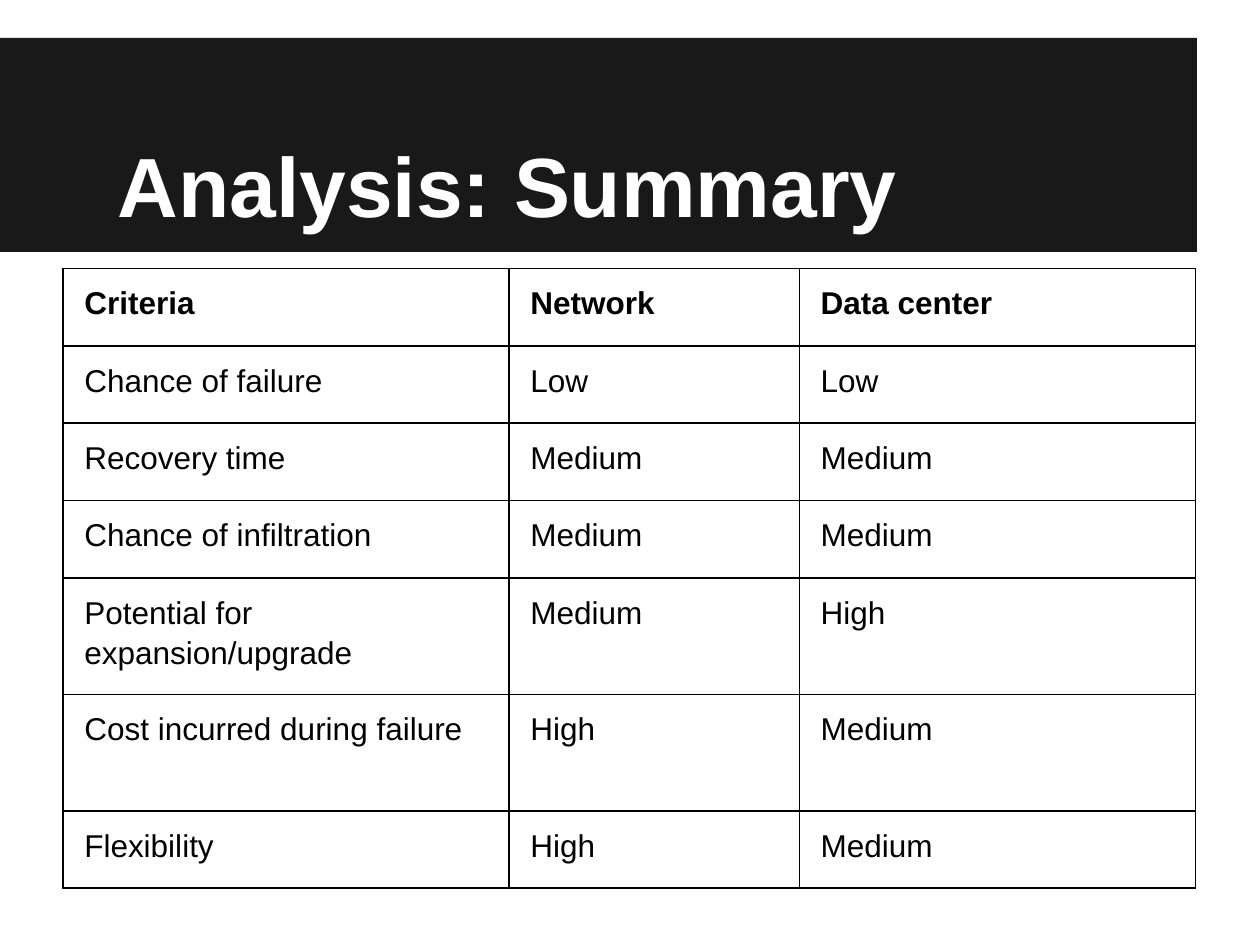
from lxml import etree
from pptx import Presentation
from pptx.dml.color import RGBColor
from pptx.enum import shapes, text
from pptx.oxml.ns import qn
from pptx.util import Pt

TITLE = "Analysis: Summary"
ROWS = [
    ("Criteria", "Network", "Data center"),
    ("Chance of failure", "Low", "Low"),
    ("Recovery time", "Medium", "Medium"),
    ("Chance of infiltration", "Medium", "Medium"),
    ("Potential for expansion/upgrade", "Medium", "High"),
    ("Cost incurred during failure", "High", "Medium"),
    ("Flexibility", "High", "Medium"),
]
COL_WIDTHS = (254.9, 165.9, 226.5)
ROW_HEIGHT, TALL_HEIGHT = 44.2, 66.6
TALL_ROWS = (4, 5)

FONT = "Arial"
BAND = RGBColor(0x19, 0x19, 0x19)
WHITE = RGBColor(0xFF, 0xFF, 0xFF)
BLACK = RGBColor(0, 0, 0)


def add_run(p, words, size, color, bold):
    r = p.add_run()
    r.text = words
    r.font.name, r.font.size, r.font.bold = FONT, Pt(size), bold
    r.font.color.rgb = color


def set_indent(p, left, first):
    pPr = p._p.get_or_add_pPr()
    pPr.set("marL", str(Pt(left)))
    pPr.set("indent", str(Pt(first)))


def add_borders(cell):
    tcPr = cell._tc.get_or_add_tcPr()
    for side in ("lnL", "lnR", "lnT", "lnB"):
        ln = etree.SubElement(tcPr, qn("a:" + side), w=str(Pt(1)))
        fill = etree.SubElement(ln, qn("a:solidFill"))
        etree.SubElement(fill, qn("a:srgbClr"), val=str(BLACK))


def add_title(s):
    sp = s.shapes.title
    sp.left, sp.top, sp.width, sp.height = Pt(36), Pt(21.6), Pt(648), Pt(119.5)
    tf = sp.text_frame
    tf.auto_size = text.MSO_AUTO_SIZE.NONE
    tf.word_wrap = True
    tf.vertical_anchor = text.MSO_ANCHOR.BOTTOM
    tf.margin_left = tf.margin_right = tf.margin_top = tf.margin_bottom = Pt(7.2)
    p = tf.paragraphs[0]
    p.alignment = text.PP_ALIGN.LEFT
    set_indent(p, 0, 24)
    add_run(p, TITLE, 48, WHITE, True)

    band = s.shapes.add_shape(shapes.MSO_SHAPE.RECTANGLE,
                              0, Pt(21.6), Pt(684), Pt(122.4))
    band.shadow.inherit = False
    band.fill.solid()
    band.fill.fore_color.rgb = BAND
    band.line.fill.background()
    sp.element.addprevious(band.element)  # band goes behind the title


def add_summary_table(s):
    heights = [TALL_HEIGHT if i in TALL_ROWS else ROW_HEIGHT
               for i in range(len(ROWS))]
    table = s.shapes.add_table(len(ROWS), len(COL_WIDTHS), Pt(36), Pt(153.4),
                               Pt(sum(COL_WIDTHS)), Pt(sum(heights))).table
    table.first_row = table.horz_banding = False
    for col, width in zip(table.columns, COL_WIDTHS):
        col.width = Pt(width)
    for i, row in enumerate(table.rows):
        row.height = Pt(heights[i])
        for cell, words in zip(row.cells, ROWS[i]):
            add_borders(cell)
            cell.fill.background()
            cell.margin_left = cell.margin_right = Pt(5)
            cell.margin_top = cell.margin_bottom = Pt(7.2)
            p = cell.text_frame.paragraphs[0]
            set_indent(p, 7.2, 0)
            p.line_spacing = 1.15
            add_run(p, words, 18, BLACK, i == 0)


def main():
    prs = Presentation()
    prs.slide_width, prs.slide_height = Pt(720), Pt(540)
    s = prs.slides.add_slide(prs.slide_layouts.get_by_name("Title Only"))
    add_title(s)
    add_summary_table(s)
    prs.save("out.pptx")


if __name__ == "__main__":
    main()
